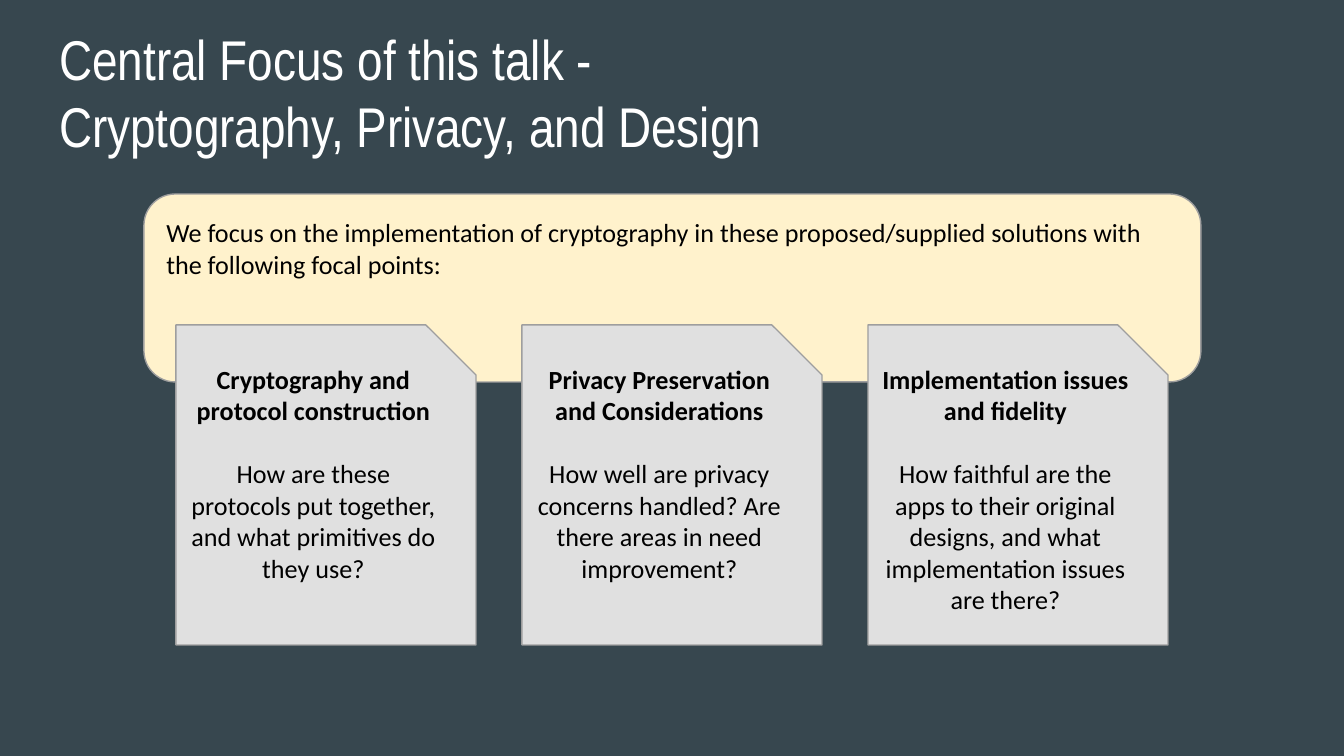
import pptx
import pptx.util
import pptx.dml.color
import pptx.enum.shapes
import pptx.enum.text
from dataclasses import dataclass

SHAPE = pptx.enum.shapes.MSO_SHAPE
ALIGN = pptx.enum.text.PP_ALIGN
ANCHOR = pptx.enum.text.MSO_ANCHOR
PX_PER_INCH = 134.4


@dataclass(frozen=True)
class Theme:
    background: str = "37474F"
    panel: str = "FFF2CC"
    card: str = "E0E0E0"
    outline: str = "9E9E9E"
    title_text: str = "FFFFFF"
    text: str = "000000"
    title_font: str = "Arial Narrow"
    body_font: str = "Calibri"
    title_size: int = 30
    body_size: int = 14
    outline_width: float = 0.75
    card_gap: int = 17


THEME = Theme()

TITLE = ["Central Focus of this talk -", "Cryptography, Privacy, and Design"]
INTRO = ("We focus on the implementation of cryptography in these "
         "proposed/supplied solutions with the following focal points:")
FOCAL_POINTS = [
    ("Cryptography and protocol construction",
     "How are these protocols put together, and what primitives do they use?"),
    ("Privacy Preservation and Considerations",
     "How well are privacy concerns handled? Are there areas in need improvement?"),
    ("Implementation issues and fidelity",
     "How faithful are the apps to their original designs, "
     "and what implementation issues are there?"),
]
CARD_LEFT, CARD_TOP, CARD_WIDTH, CARD_HEIGHT = 176, 325, 300, 320
CARD_PITCH = 346


def px(n):
    return pptx.util.Emu(round(n * 914400 / PX_PER_INCH))


def rgb(value):
    return pptx.dml.color.RGBColor.from_string(value)


def write(sp, lines, font, size, color, align=ALIGN.LEFT, anchor=ANCHOR.TOP):
    """Fill a shape with one paragraph per line, all in one style."""
    tf = sp.text_frame
    tf.word_wrap = True
    tf.vertical_anchor = anchor
    tf.margin_left = tf.margin_right = pptx.util.Inches(0.1)
    tf.margin_top = tf.margin_bottom = pptx.util.Inches(0.1)
    tf.text = "\n".join(lines)
    for p in tf.paragraphs:
        p.alignment = align
        for r in p.runs:
            r.font.name = font
            r.font.size = pptx.util.Pt(size)
            r.font.color.rgb = rgb(color)
    return tf.paragraphs


def add_title(s):
    sp = s.shapes.add_textbox(px(46), px(11), px(1252), px(162))
    write(sp, TITLE, THEME.title_font, THEME.title_size, THEME.title_text,
          anchor=ANCHOR.MIDDLE)


def add_box(s, kind, left, top, width, height, fill):
    sp = s.shapes.add_shape(kind, px(left), px(top), px(width), px(height))
    sp.shadow.inherit = False
    sp.fill.solid()
    sp.fill.fore_color.rgb = rgb(fill)
    sp.line.color.rgb = rgb(THEME.outline)
    sp.line.width = pptx.util.Pt(THEME.outline_width)
    return sp


def add_intro(s):
    sp = add_box(s, SHAPE.ROUNDED_RECTANGLE, 144, 194, 1057, 188, THEME.panel)
    write(sp, [INTRO], THEME.body_font, THEME.body_size, THEME.text)


def add_card(s, left, heading, question):
    sp = add_box(s, SHAPE.SNIP_1_RECTANGLE, left, CARD_TOP,
                 CARD_WIDTH, CARD_HEIGHT, THEME.card)
    head, body = write(sp, [heading, question], THEME.body_font,
                       THEME.body_size, THEME.text, ALIGN.CENTER)
    head.runs[0].font.bold = True
    body.space_before = pptx.util.Pt(THEME.card_gap)


def main():
    prs = pptx.Presentation()
    prs.slide_width, prs.slide_height = px(1344), px(756)
    s = prs.slides.add_slide(prs.slide_layouts[6])
    s.background.fill.solid()
    s.background.fill.fore_color.rgb = rgb(THEME.background)
    add_title(s)
    add_intro(s)
    for i, (heading, question) in enumerate(FOCAL_POINTS):
        add_card(s, CARD_LEFT + i * CARD_PITCH, heading, question)
    prs.save("out.pptx")


if __name__ == "__main__":
    main()
